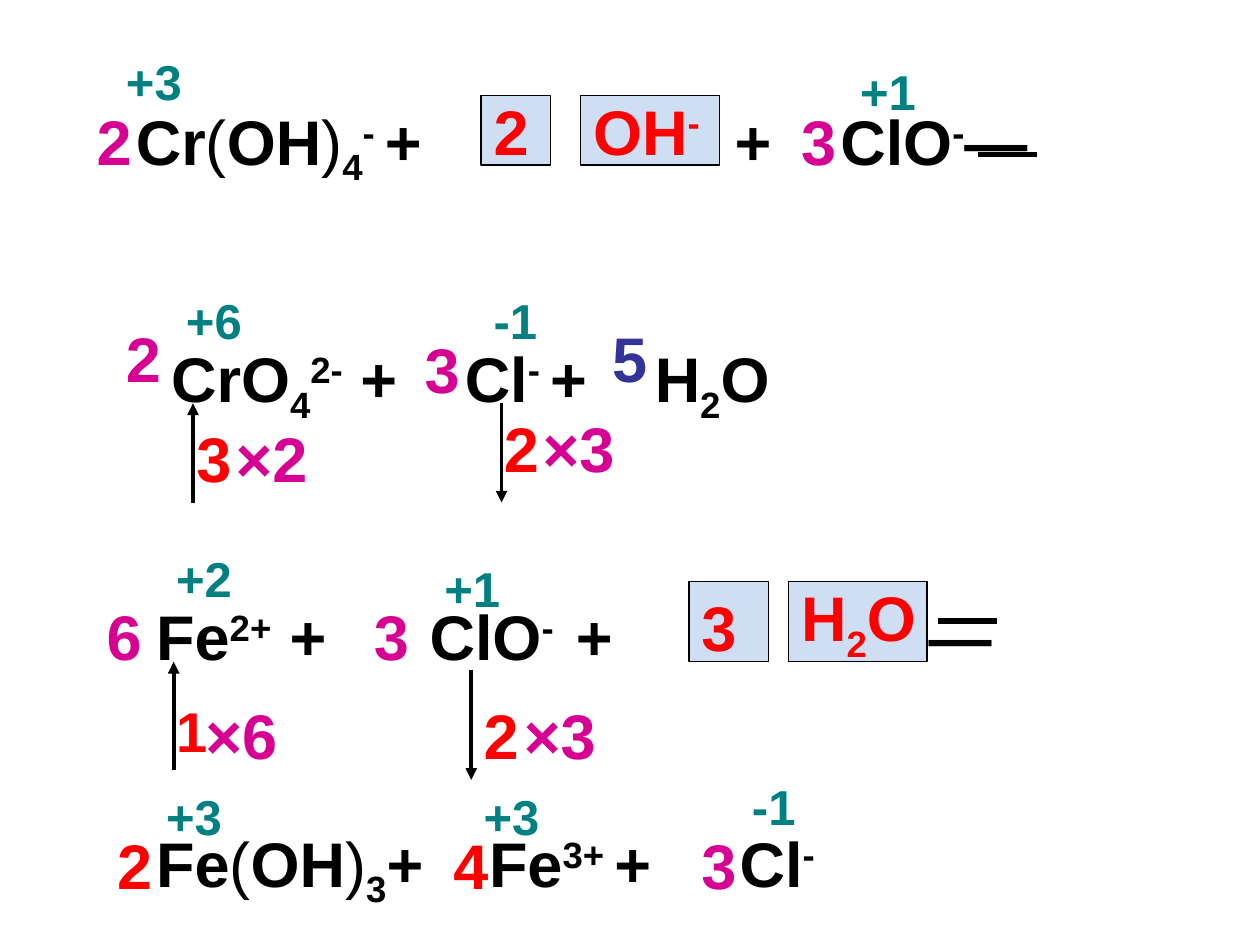
from lxml import etree
from pptx import Presentation
from pptx.dml.color import RGBColor
from pptx.enum.shapes import MSO_CONNECTOR, MSO_SHAPE
from pptx.enum.text import MSO_AUTO_SIZE, PP_ALIGN
from pptx.oxml.ns import qn
from pptx.util import Cm, Pt

RECTANGLE = MSO_SHAPE.RECTANGLE
STRAIGHT = MSO_CONNECTOR.STRAIGHT
GROW = MSO_AUTO_SIZE.SHAPE_TO_FIT_TEXT
LEFT = PP_ALIGN.LEFT

COLORS = {
    "ink": "000000",
    "oxidation": "008080",
    "balance": "D60093",
    "answer": "FF0000",
    "water": "333399",
    "blank": "CFDEF3",
}
FRAME_FORMAT = {
    "word_wrap": True,
    "auto_size": GROW,
    "margin_left": Cm(0.25),
    "margin_right": Cm(0.25),
    "margin_top": Cm(0.13),
    "margin_bottom": Cm(0.13),
}
BASELINES = {"sub": "-25000", "sup": "30000"}
LINE_HEIGHTS = {28: 1.45, 32: 1.63, 36: 1.78}
EQUATION_GAP = 86.4

CHROMIUM = [
    ([12.07, 14.2], [
        ("Cr", ""), ("(", "thin"), ("OH", ""), (")", "thin"), ("4", "sub"),
        ("- ", "sup"), ("+\t+\tClO", ""), ("-", "sup"), ("—", ""),
    ]),
    ([0.71, 6.63, 10.46], [
        ("\tCrO", ""), ("4", "sub"), ("2-", "sup"), (" +\tCl", ""),
        ("- ", "sup"), ("+\tH", ""), ("2", "sub"), ("O", ""),
    ]),
]
IRON = [
    ([2.69, 5.51, 8.46, 15.57], [
        ("Fe", ""), ("2+", "sup"), ("\t+\tClO", ""), ("-", "sup"),
        ("\t+\t—", ""),
    ]),
    ([6.71, 11.76], [
        ("Fe", ""), ("(", "thin"), ("OH", ""), (")", "thin"), ("3", "sub"),
        ("+\tFe", ""), ("3+ ", "sup"), ("+\tCl", ""), ("-", "sup"),
    ]),
]
OXIDATION_NUMBERS = [
    ("+3", 2.29, 0.91, 2.39), ("+1", 17.09, 1.12, 1.8),
    ("+6", 3.5, 5.72, 2.39), ("-1", 9.7, 5.72, 1.6),
    ("+2", 3.3, 10.92, 1.8), ("+1", 8.71, 11.13, 1.8),
    ("+3", 3.1, 15.72, 1.8), ("+3", 9.5, 15.72, 1.8),
    ("-1", 14.91, 15.52, 1.4),
]
COEFFICIENTS = [
    ("2", "balance", 1.7, 1.93, 1), ("3", "balance", 15.9, 1.93, 1.8),
    ("2", "balance", 2.29, 6.32, 1), ("3", "balance", 8.31, 6.53, 1.8),
    ("5", "water", 12.09, 6.32, 1.4),
    ("6", "balance", 1.9, 11.91, 1.6), ("3", "balance", 7.29, 11.91, 1.6),
    ("2", "answer", 2.11, 16.54, 1.8), ("4", "answer", 8.89, 16.54, 1.6),
    ("3", "balance", 13.89, 16.54, 1.6),
]
ELECTRONS = [
    ("3", 3.71, 8.33, 1.6, 36), ("2", 9.91, 8.13, 1.8, 36),
    ("1", 3.3, 13.92, 1.2, 32), ("2", 9.5, 13.92, 1.2, 36),
]
MULTIPLIERS = [
    ("×2", 4.5, 8.33, 2.21), ("×3", 10.69, 8.13, 2),
    ("×6", 3.89, 13.92, 2), ("×3", 10.31, 13.92, 2.21),
]
ANSWER_BOXES = [
    (11.71, 1.93, 2.79, 1.4), (9.7, 1.93, 1.4, 1.4),
    (15.9, 11.73, 2.79, 1.6), (13.89, 11.73, 1.6, 1.6),
]
ANSWERS = [
    ([("OH", ""), ("-", "sup")], 11.71, 1.73, 3.2, 1.78),
    ([("2", "")], 9.7, 1.73, 1.4, 1.78),
    ([("H", ""), ("2", "sub"), ("O", "")], 15.9, 11.53, 3.4, 2.01),
    ([("3", "")], 13.89, 11.73, 1.6, 1.78),
]
ELECTRON_ARROWS = [
    (3.89, 10.13, 8.13), (10.11, 8.13, 10.13),
    (3.5, 15.52, 13.34), (9.5, 13.51, 15.72),
]
EQUALS_STROKES = [(19.71, 3.12), (18.9, 12.52)]
STROKE_LENGTH = 1.19


def rgb(name):
    return RGBColor.from_string(COLORS[name])


def set_tabs(paragraph, stops):
    tab_list = etree.SubElement(paragraph._p.get_or_add_pPr(), qn("a:tabLst"))
    for stop in stops:
        etree.SubElement(tab_list, qn("a:tab"), pos=str(Cm(stop)), algn="l")


def add_formula(paragraph, parts, color, size):
    for text, style in parts:
        run = paragraph.add_run()
        run.text = text
        font_format = {"name": "Arial", "size": Pt(size), "bold": style != "thin"}
        for attribute, value in font_format.items():
            setattr(run.font, attribute, value)
        run.font.color.rgb = rgb(color)
        if style in BASELINES:
            run._r.get_or_add_rPr().set("baseline", BASELINES[style])


def add_text(slide, lines, color, left, top, width, height, size=36):
    box = slide.shapes.add_textbox(Cm(left), Cm(top), Cm(width), Cm(height))
    frame = box.text_frame
    for attribute, value in FRAME_FORMAT.items():
        setattr(frame, attribute, value)
    for index, (stops, parts) in enumerate(lines):
        paragraph = frame.add_paragraph() if index else frame.paragraphs[0]
        paragraph.alignment = LEFT
        paragraph.space_before = Pt(EQUATION_GAP if index else 0)
        if stops:
            set_tabs(paragraph, stops)
        add_formula(paragraph, parts, color, size)


def add_label(slide, text, color, left, top, width, size=36):
    add_text(slide, [([], [(text, "")])], color, left, top, width,
             LINE_HEIGHTS[size], size)


def add_answer_box(slide, left, top, width, height):
    box = slide.shapes.add_shape(
        RECTANGLE, Cm(left), Cm(top), Cm(width), Cm(height))
    box.shadow.inherit = False
    box.fill.solid()
    box.fill.fore_color.rgb = rgb("blank")
    box.line.color.rgb = rgb("ink")
    box.line.width = Pt(0.75)


def add_line(slide, start, end, weight, arrow=False):
    line = slide.shapes.add_connector(
        STRAIGHT, *(Cm(value) for value in start + end))
    line.line.color.rgb = rgb("ink")
    line.line.width = Pt(weight)
    if arrow:
        etree.SubElement(line.line._get_or_add_ln(), qn("a:tailEnd"),
                         type="triangle")
    etree.SubElement(line._element.spPr, qn("a:effectLst"))


def main():
    deck = Presentation()
    deck.slide_width, deck.slide_height = Cm(25.4), Cm(19.05)
    slide = deck.slides.add_slide(deck.slide_layouts[6])

    add_text(slide, CHROMIUM, "ink", 2.49, 1.93, 21.62, 6.83)
    add_text(slide, IRON, "ink", 2.9, 11.91, 20.4, 6.63)
    for box in ANSWER_BOXES:
        add_answer_box(slide, *box)
    for parts, *place in ANSWERS:
        add_text(slide, [([], parts)], "answer", *place)
    for text, *place in OXIDATION_NUMBERS:
        add_label(slide, text, "oxidation", *place, size=28)
    for x, start, end in ELECTRON_ARROWS:
        add_line(slide, (x, start), (x, end), 2.25, arrow=True)
    for text, *place in ELECTRONS:
        add_label(slide, text, "answer", *place)
    for text, *place in MULTIPLIERS:
        add_label(slide, text, "balance", *place)
    for coefficient in COEFFICIENTS:
        add_label(slide, *coefficient)
    for x, y in EQUALS_STROKES:
        add_line(slide, (x, y), (x + STROKE_LENGTH, y), 3)

    deck.save("out.pptx")


if __name__ == "__main__":
    main()
